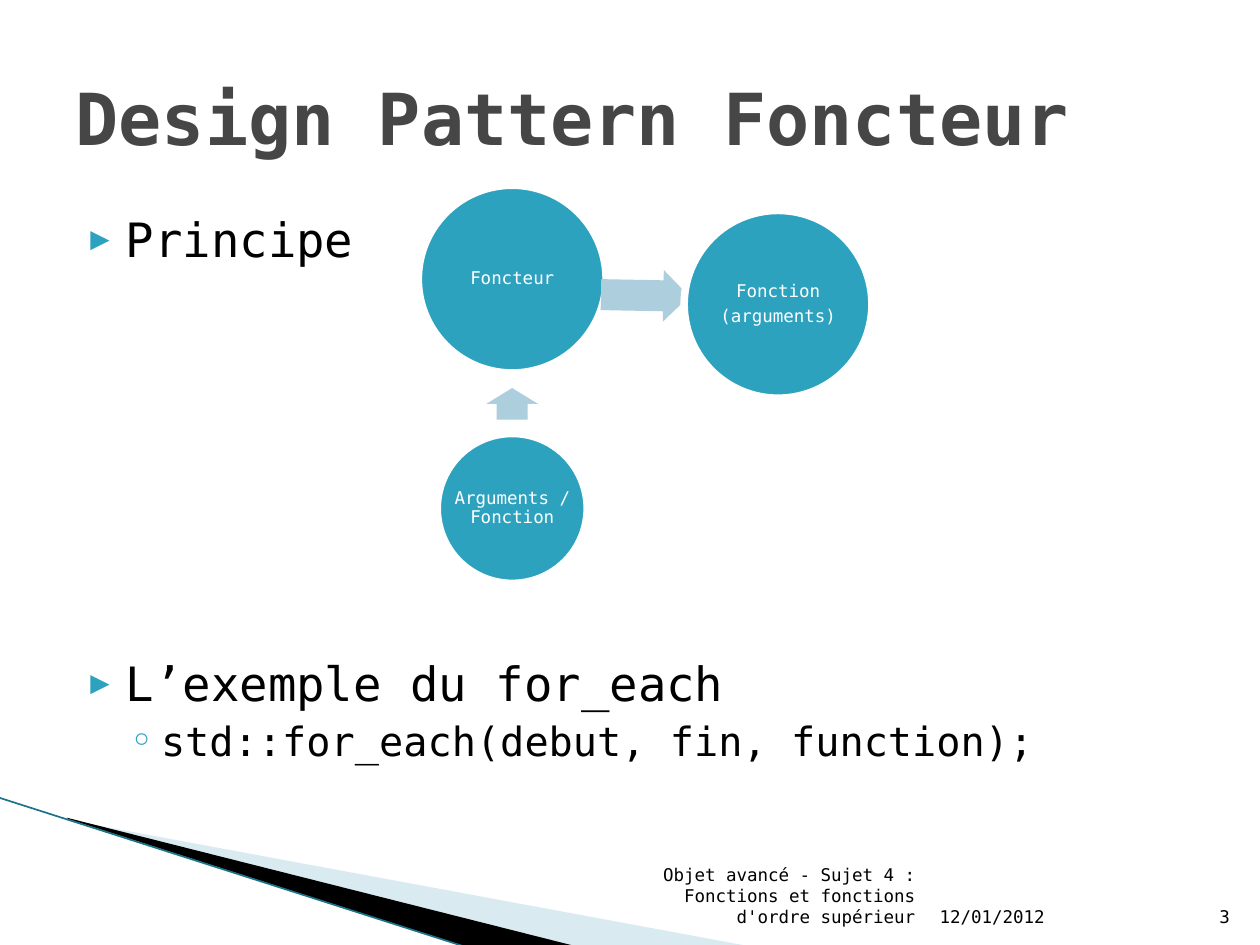
from dataclasses import dataclass

from lxml import etree
from pptx import Presentation
from pptx import util as u
from pptx.dml.color import RGBColor
from pptx.enum import shapes, text
from pptx.oxml.ns import qn


@dataclass(frozen=True)
class Theme:
    """Colours, font and type sizes of the slide."""
    font: str = "DejaVu Sans Mono"
    ink: str = "000000"
    heading: str = "464646"
    accent: str = "2DA2BF"
    arrow: str = "ADCEDC"
    pale: str = "A0CBDC"
    edge: str = "1A7387"
    light: str = "FFFFFF"
    title_size: float = 41
    topic_size: float = 27
    detail_size: float = 23
    small_size: float = 10


THEME = Theme()
ALIGN = text.PP_ALIGN
ANCHOR = text.MSO_ANCHOR


def inches(*lengths):
    """Turn numbers into lengths in inches."""
    return [u.Inches(length) for length in lengths]


def add_run(paragraph, words, size, color=THEME.ink, bold=False):
    """Add one formatted run to a paragraph."""
    run = paragraph.add_run()
    run.text = words
    run.font.name = THEME.font
    run.font.size = u.Pt(size)
    run.font.bold = bold
    run.font.color.rgb = RGBColor.from_string(color)


def set_frame(frame, anchor, inset=(0.1, 0.05)):
    """Set wrapping, anchor and insets of a text frame."""
    frame.word_wrap = True
    frame.auto_size = text.MSO_AUTO_SIZE.NONE
    frame.vertical_anchor = anchor
    frame.margin_left = frame.margin_right = u.Inches(inset[0])
    frame.margin_top = frame.margin_bottom = u.Inches(inset[1])


def paint(shape, color):
    """Give a shape a plain fill without line or shadow."""
    shape.shadow.inherit = False
    shape.fill.solid()
    shape.fill.fore_color.rgb = RGBColor.from_string(color)
    shape.line.fill.background()


def add_wedge(slide, points, color, opacity=None):
    """Draw one corner wedge, optionally see-through."""
    corners = [tuple(inches(*point)) for point in points]
    builder = slide.shapes.build_freeform(*corners[0], scale=1.0)
    builder.add_line_segments(corners[1:], close=True)
    wedge = builder.convert_to_shape()
    paint(wedge, color)
    if opacity is not None:
        tint = wedge.fill._xPr.find(".//" + qn("a:srgbClr"))
        etree.SubElement(tint, qn("a:alpha"), val=str(opacity * 1000))


def add_edge(slide, start, end):
    """Draw the thin line along the corner wedges."""
    edge = slide.shapes.add_connector(
        shapes.MSO_CONNECTOR.STRAIGHT, *inches(*start, *end))
    edge.line.color.rgb = RGBColor.from_string(THEME.edge)
    edge.line.width = u.Pt(0.95)
    etree.SubElement(edge._element.spPr, qn("a:effectLst"))


def add_title(slide, words):
    """Place and fill the title placeholder."""
    title = slide.shapes.title
    title.left, title.top, title.width, title.height = inches(0.5, 0.3, 9, 1.25)
    set_frame(title.text_frame, ANCHOR.MIDDLE)
    heading = title.text_frame.paragraphs[0]
    heading.alignment = ALIGN.LEFT
    add_run(heading, words, THEME.title_size, THEME.heading, bold=True)


def set_bullet(paragraph, mark, margin, indent, scale):
    """Give a paragraph a coloured bullet and a hanging indent."""
    props = paragraph._p.get_or_add_pPr()
    props.set("marL", str(u.Inches(margin)))
    props.set("indent", str(u.Inches(indent)))
    color = etree.SubElement(props, qn("a:buClr"))
    etree.SubElement(color, qn("a:srgbClr"), val=THEME.accent)
    etree.SubElement(props, qn("a:buSzPct"), val=str(scale * 1000))
    etree.SubElement(props, qn("a:buFont"), typeface=THEME.font)
    etree.SubElement(props, qn("a:buChar"), char=mark)


def add_outline(slide, entries):
    """Write the bulleted outline from (level, words, space before)."""
    levels = [("\u25b6", 0.4, -0.28, 68, THEME.topic_size),
              ("\u25e6", 0.68, -0.25, 100, THEME.detail_size)]
    frame = slide.shapes.add_textbox(*inches(0.5, 1.62, 9, 4.95)).text_frame
    set_frame(frame, ANCHOR.TOP)
    for index, (level, words, gap) in enumerate(entries):
        entry = frame.add_paragraph() if index else frame.paragraphs[0]
        *bullet, size = levels[level]
        entry.level = level
        entry.space_before = u.Pt(gap)
        set_bullet(entry, *bullet)
        add_run(entry, words, size)


def add_footer(slide, left, width, words, align):
    """Write one footer field on the common footer line."""
    frame = slide.shapes.add_textbox(*inches(left, 7.01, width, 0.4)).text_frame
    set_frame(frame, ANCHOR.BOTTOM)
    frame.paragraphs[0].alignment = align
    add_run(frame.paragraphs[0], words, THEME.small_size)


def add_circle(slide, left, top, size, lines):
    """Draw a circle with a label that spans its full width."""
    place = inches(left, top, size, size)
    circle = slide.shapes.add_shape(shapes.MSO_SHAPE.OVAL, *place)
    paint(circle, THEME.accent)
    circle.line.color.rgb = RGBColor.from_string(THEME.light)
    circle.line.width = u.Pt(4.33)
    frame = slide.shapes.add_textbox(*place).text_frame
    set_frame(frame, ANCHOR.MIDDLE, (0.01, 0.01))
    for index, words in enumerate(lines):
        label = frame.add_paragraph() if index else frame.paragraphs[0]
        label.alignment = ALIGN.CENTER
        label.line_spacing = 0.9
        label.space_after = u.Pt(3.5)
        add_run(label, words, THEME.small_size, THEME.light)


def add_arrow(slide, left, top, width, rotation):
    """Draw a block arrow between two circles."""
    arrow = slide.shapes.add_shape(
        shapes.MSO_SHAPE.RIGHT_ARROW, *inches(left, top, width, 0.41))
    arrow.adjustments[0] = 0.6
    arrow.adjustments[1] = 0.5
    arrow.rotation = rotation
    paint(arrow, THEME.arrow)


def main():
    """Build the slide and save it."""
    deck = Presentation()
    deck.slide_width, deck.slide_height = inches(10, 7.5)
    slide = deck.slides.add_slide(deck.slide_layouts[5])

    add_wedge(slide, [(0.55, 6.51), (5.95, 7.51), (4.56, 7.51), (0.55, 6.5)],
              THEME.pale, opacity=40)
    add_wedge(slide, [(0.53, 6.49), (4.57, 7.51), (3.72, 7.52), (0.54, 6.5)],
              THEME.ink)
    add_edge(slide, (-0.01, 6.33), (3.71, 7.52))

    add_title(slide, "Design Pattern Foncteur")
    add_outline(slide, [
        (0, "Principe", 4),
        (0, "L\u2019exemple du for_each", 221),
        (1, "std::for_each(debut, fin, function);", 3.2),
    ])

    add_footer(slide, 7.36, 2.1, "12/01/2012", ALIGN.LEFT)
    add_footer(slide, 9.46, 0.4, "3", ALIGN.RIGHT)
    add_footer(slide, 4.79, 2.57, "Objet avanc\u00e9 - Sujet 4 : Fonctions et "
               "fonctions d'ordre sup\u00e9rieur", ALIGN.RIGHT)

    add_circle(slide, 3.47, 3.44, 1.19, ["Arguments / Fonction"])
    add_arrow(slide, 3.94, 3, 0.25, 270)
    add_circle(slide, 3.32, 1.47, 1.49, ["Foncteur"])
    add_arrow(slide, 4.77, 2.14, 0.7, 1.1)
    add_circle(slide, 5.43, 1.67, 1.49, ["Fonction", "(arguments)"])

    deck.save("out.pptx")


main()
